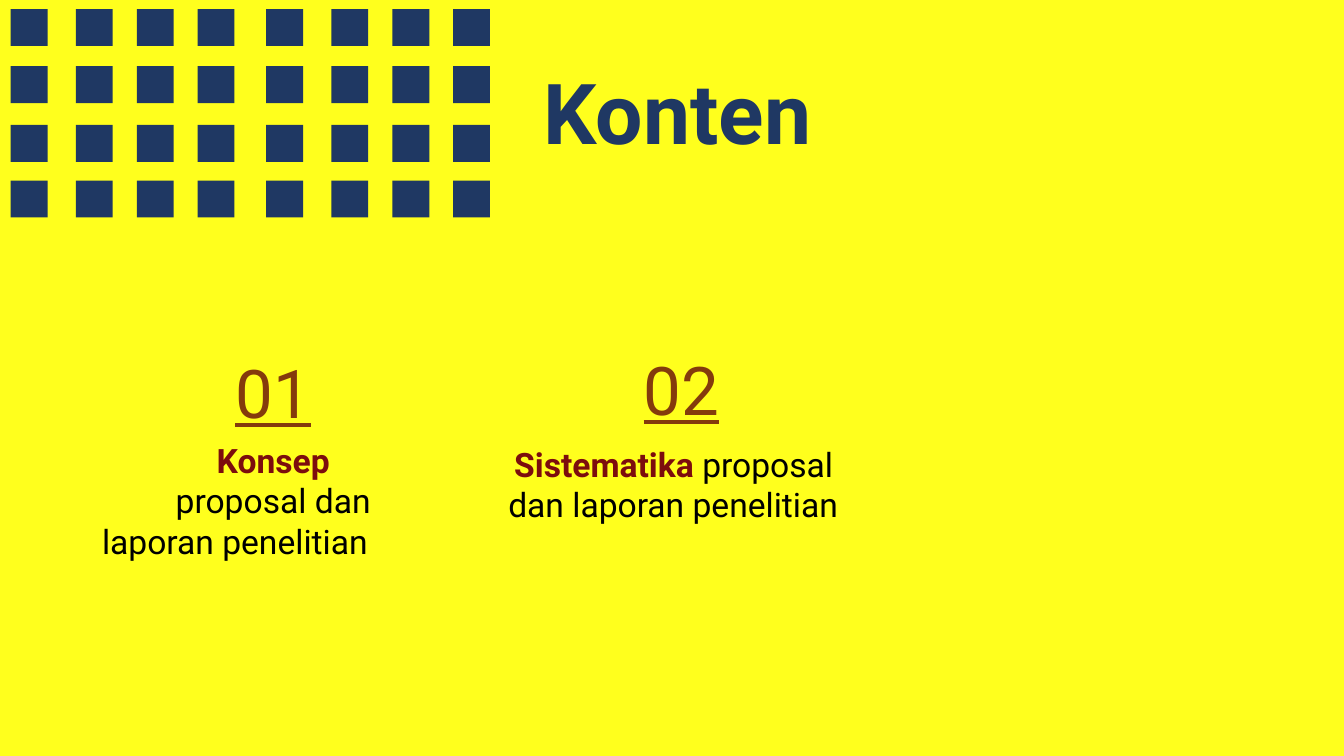
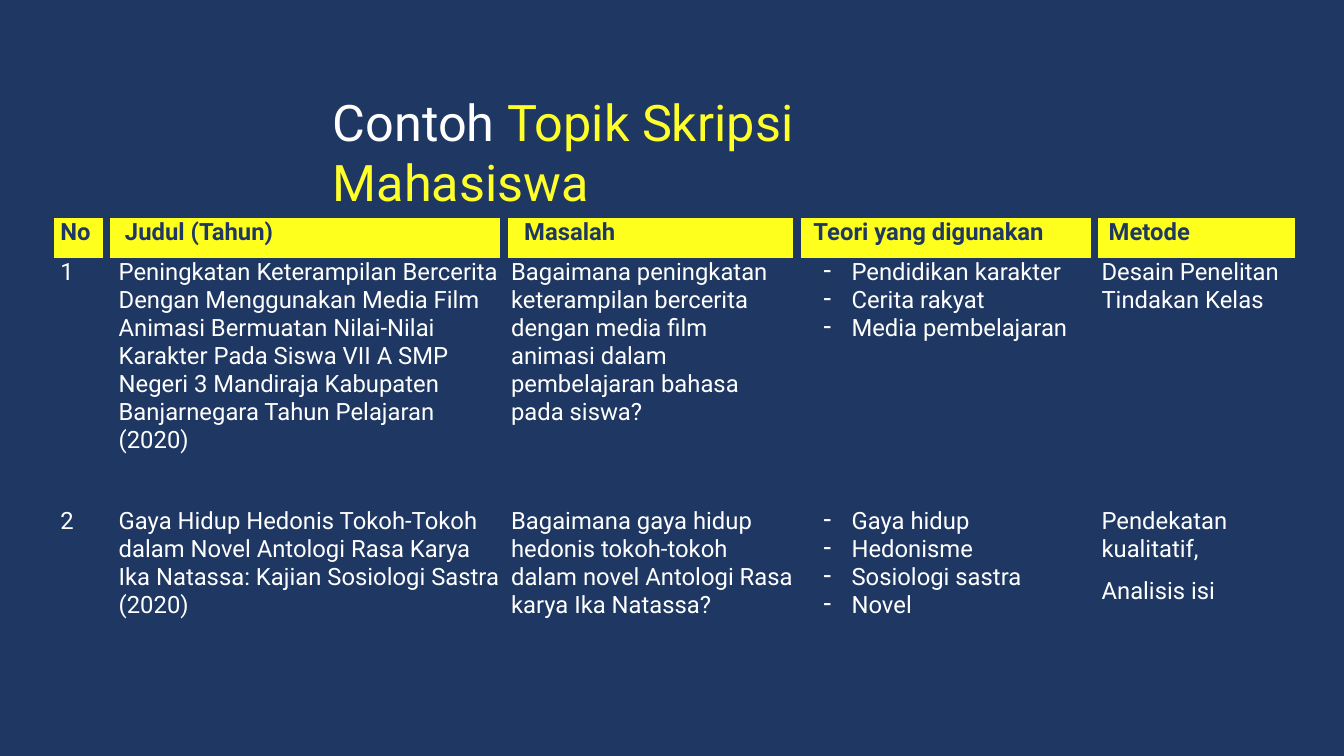
from dataclasses import dataclass
from itertools import product

from lxml import etree
from pptx import Presentation
from pptx import util as u
from pptx.dml.color import RGBColor
from pptx.enum import shapes, text
from pptx.oxml import ns

Cm, Pt = u.Cm, u.Pt
FONT = "Roboto"
COLORS = {
    "navy": "1F3863", "yellow": "FFFF1D", "lemon": "FFFF29", "white": "FFFFFF",
    "black": "000000", "brown": "843B0C", "maroon": "7C0D0D",
}
NO_STYLE = "{2D5ABB26-0587-4C30-8999-92F81FD0307C}"


@dataclass(frozen=True)
class Run:
    text: str
    color: str
    size: float
    bold: bool = False
    underline: bool = False


@dataclass(frozen=True)
class Para:
    runs: tuple[Run, ...]
    left: float = 0
    first: float = 0
    before: float = 0
    spacing: float | None = None
    centered: bool = False
    bullet: str = ""


@dataclass(frozen=True)
class Box:
    left: float
    top: float
    width: float
    height: float
    inset: float


@dataclass(frozen=True)
class Column:
    title: str
    width: float
    title_indent: float
    indent: float
    hang: float = 0
    bullet: str = ""


# Shared helpers
def rgb(name: str) -> RGBColor:
    return RGBColor.from_string(COLORS[name])


def add_slide(prs, background: str):
    s = prs.slides.add_slide(prs.slide_layouts[6])
    s.background.fill.solid()
    s.background.fill.fore_color.rgb = rgb(background)
    return s


def add_run(p, content: str, *, color: str, size: float, bold: bool = False,
            underline: bool = False) -> None:
    r = p.add_run()
    r.text = content
    r.font.name, r.font.size = FONT, Pt(size)
    r.font.bold, r.font.underline = bold, underline
    r.font.color.rgb = rgb(color)


def write(tf, paras: list[Para]) -> None:
    for i, para in enumerate(paras):
        p = tf.add_paragraph() if i else tf.paragraphs[0]
        p.alignment = text.PP_ALIGN.CENTER if para.centered else text.PP_ALIGN.LEFT
        p.space_before = Pt(para.before)
        if para.spacing:
            p.line_spacing = para.spacing
        pPr = p._p.get_or_add_pPr()
        pPr.set("marL", str(Cm(para.left)))
        pPr.set("indent", str(Cm(para.first)))
        if para.bullet:
            etree.SubElement(pPr, ns.qn("a:buChar"), char=para.bullet)
        for run in para.runs:
            add_run(p, run.text, color=run.color, size=run.size,
                    bold=run.bold, underline=run.underline)


def add_text(s, box: Box, paras: list[Para]) -> None:
    sp = s.shapes.add_textbox(Cm(box.left), Cm(box.top), Cm(box.width), Cm(box.height))
    tf = sp.text_frame
    tf.word_wrap = True
    tf.margin_left = tf.margin_right = tf.margin_bottom = 0
    tf.margin_top = Cm(box.inset)
    write(tf, paras)


def add_title(s, box: Box, *runs: Run) -> None:
    add_text(s, box, [Para(runs, left=0.03)])


# Contents slide
SQUARE = 0.93
GROUP_LEFTS = (0.27, 6.71)
SQUARE_STEPS = (0, 1.64, 3.18, 4.71)
SQUARE_TOPS = (0.23, 1.67, 3.15, 4.55)


def add_squares(s) -> None:
    for top, left, step in product(SQUARE_TOPS, GROUP_LEFTS, SQUARE_STEPS):
        sp = s.shapes.add_shape(shapes.MSO_SHAPE.RECTANGLE, Cm(left + step), Cm(top),
                                Cm(SQUARE), Cm(SQUARE))
        sp.shadow.inherit = False
        sp.fill.solid()
        sp.fill.fore_color.rgb = rgb("navy")
        sp.line.fill.background()


def number(digits: str, left: float) -> Para:
    return Para((Run(digits, "brown", 48, underline=True),), left=left, centered=True)


def topic(keyword: str, rest: str) -> tuple[Run, ...]:
    return Run(keyword, "maroon", 24, bold=True), Run(rest, "black", 24)


def build_contents(prs) -> None:
    s = add_slide(prs, "yellow")
    add_title(s, Box(13.67, 1.5, 7.26, 2.62, 0.03), Run("Konten", "navy", 60, bold=True))
    add_squares(s)
    add_text(s, Box(1.83, 8.41, 8.18, 4.75, 0.44), [
        number("01", 1.93),
        Para(topic("Konsep ", "proposal dan"), left=1.93, before=5.8, centered=True),
        Para((Run("laporan penelitian", "black", 24),), before=0.2, centered=True),
    ])
    add_text(s, Box(12.78, 8, 8.48, 5.26, 0.77), [
        number("02", 0.3),
        Para(topic("Sistematika ", "proposal dan laporan penelitian"),
             left=0.03, first=0.15, before=10.3, spacing=1.01),
    ])


# Thesis topics slide
COLUMNS = (
    Column("No", 1.32, 0.15, 0.15),
    Column("Judul (Tahun)", 10.01, 0.46, 0.3),
    Column("Masalah", 7.39, 0.51, 0.18),
    Column("Teori yang digunakan", 7.49, 0.41, 1.37, -0.71, "-"),
    Column("Metode", 5.05, 0.36, 0.18),
)
ROW_HEIGHTS = (1.02, 5.64, 3.56)
ROW_INSETS = (0, 0, 0.64)
TOPICS = (
    (
        ("1",),
        ("Peningkatan Keterampilan Bercerita Dengan Menggunakan Media Film Animasi "
         "Bermuatan Nilai-Nilai Karakter Pada Siswa VII A SMP Negeri 3 Mandiraja "
         "Kabupaten Banjarnegara Tahun Pelajaran (2020)",),
        ("Bagaimana peningkatan keterampilan bercerita dengan media film animasi "
         "dalam pembelajaran bahasa pada siswa?",),
        ("Pendidikan karakter", "Cerita rakyat", "Media pembelajaran"),
        ("Desain Penelitan Tindakan Kelas",),
    ),
    (
        ("2",),
        ("Gaya Hidup Hedonis Tokoh-Tokoh dalam Novel Antologi Rasa Karya "
         "Ika Natassa: Kajian Sosiologi Sastra (2020)",),
        ("Bagaimana gaya hidup hedonis tokoh-tokoh dalam novel Antologi Rasa "
         "karya Ika Natassa?",),
        ("Gaya hidup", "Hedonisme", "Sosiologi sastra", "Novel"),
        ("Pendekatan kualitatif,", "Analisis isi"),
    ),
)


def add_side_border(cell, tag: str) -> None:
    ln = etree.Element(ns.qn(tag), w=str(Pt(6)))
    fill = etree.SubElement(ln, ns.qn("a:solidFill"))
    etree.SubElement(fill, ns.qn("a:srgbClr"), val=COLORS["navy"])
    cell._tc.get_or_add_tcPr().insert(0, ln)


def fill_header(cell, col: Column, index: int) -> None:
    cell.fill.solid()
    cell.fill.fore_color.rgb = rgb("yellow")
    if index < len(COLUMNS) - 1:
        add_side_border(cell, "a:lnR")
    if index:
        add_side_border(cell, "a:lnL")
    write(cell.text_frame,
          [Para((Run(col.title, "navy", 17, bold=True),), left=col.title_indent)])


def fill_body(cell, col: Column, lines: tuple[str, ...]) -> None:
    cell.fill.background()
    write(cell.text_frame, [
        Para((Run(line, "white", 17),), left=col.indent, first=col.hang,
             before=10 if i and not col.bullet else 0, bullet=col.bullet)
        for i, line in enumerate(lines)
    ])


def add_topics_table(s) -> None:
    width = sum(col.width for col in COLUMNS)
    frame = s.shapes.add_table(len(ROW_HEIGHTS), len(COLUMNS), Cm(1.37), Cm(5.49),
                               Cm(width), Cm(sum(ROW_HEIGHTS)))
    table = frame.table
    table.first_row = table.horz_banding = False
    table._tbl.tblPr.find(ns.qn("a:tableStyleId")).text = NO_STYLE
    for row, height in zip(table.rows, ROW_HEIGHTS):
        row.height = Cm(height)
    for c, col in enumerate(COLUMNS):
        table.columns[c].width = Cm(col.width)
        for r, inset in enumerate(ROW_INSETS):
            cell = table.cell(r, c)
            cell.margin_left = cell.margin_right = cell.margin_bottom = 0
            cell.margin_top = Cm(inset)
            if r:
                fill_body(cell, col, TOPICS[r - 1][c])
            else:
                fill_header(cell, col, c)


def build_topics(prs) -> None:
    s = add_slide(prs, "navy")
    add_title(s, Box(8.36, 2.26, 18.11, 1.6, 0.03),
              Run("Contoh ", "white", 36), Run("Topik Skripsi Mahasiswa", "lemon", 36))
    add_topics_table(s)


def main() -> None:
    prs = Presentation()
    prs.slide_width, prs.slide_height = Cm(33.87), Cm(19.05)
    build_contents(prs)
    build_topics(prs)
    prs.save("out.pptx")


if __name__ == "__main__":
    main()
